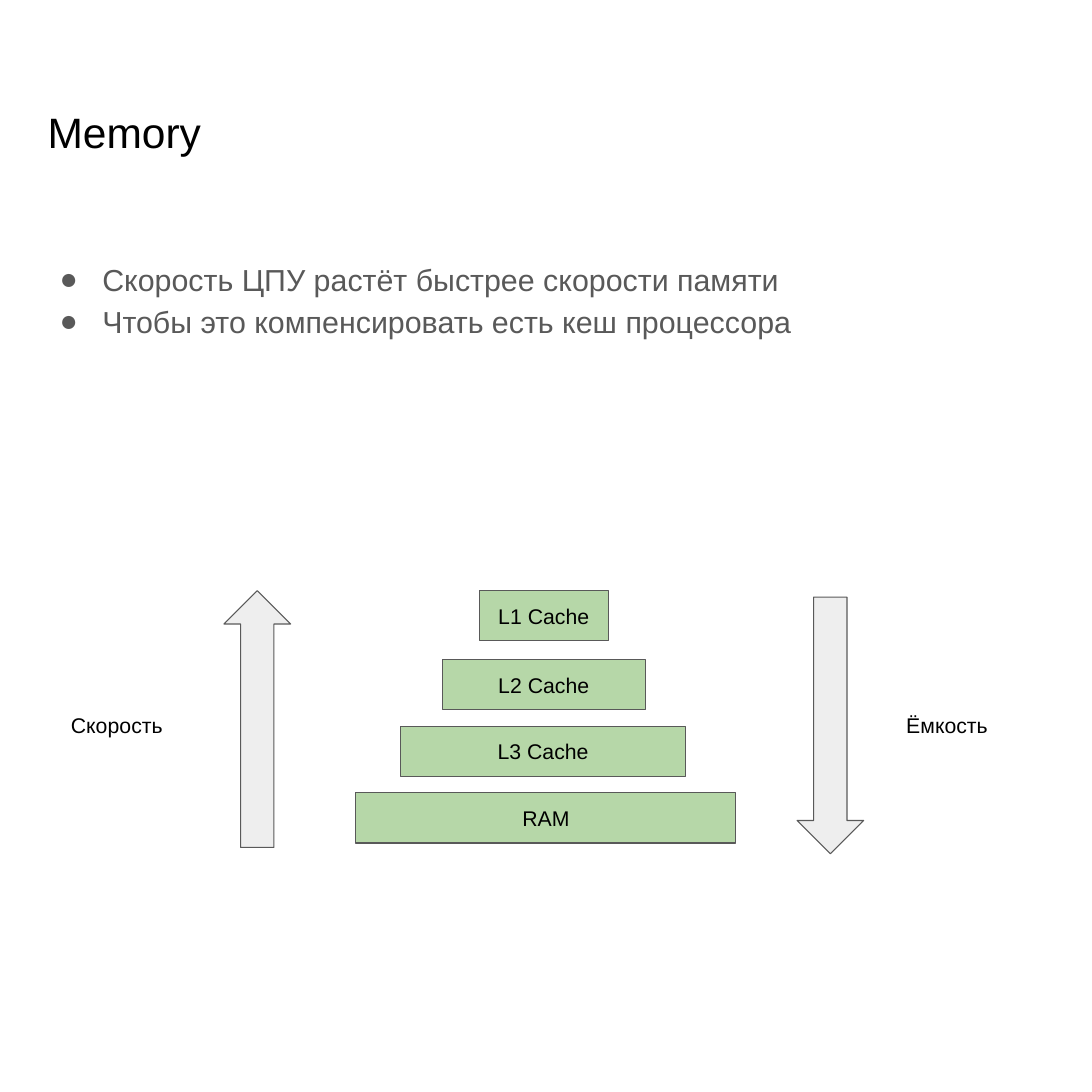
from lxml.etree import SubElement
from pptx import Presentation
from pptx.dml.color import RGBColor
from pptx.enum.shapes import MSO_SHAPE as Shape
from pptx.enum.text import MSO_ANCHOR as Anchor, PP_ALIGN as Align
from pptx.oxml.ns import qn
from pptx.util import Cm, Pt

FONT = "Arial"
BLACK, GRAY, LIGHT, GREEN = "000000", "595959", "EEEEEE", "B6D7A8"
INSET = Cm(0.25)
BOX_HEIGHT = 1.17

BULLETS = [
    "Скорость ЦПУ растёт быстрее скорости памяти",
    "Чтобы это компенсировать есть кеш процессора",
]
# Name, left, top, width
MEMORY_LEVELS = [
    ("L1 Cache", 11.15, 13.74, 3.0),
    ("L2 Cache", 10.29, 15.34, 4.72),
    ("L3 Cache", 9.32, 16.89, 6.63),
    ("RAM", 8.28, 18.44, 8.84),
]
# Shape, left, top, label, label left
ARROWS = [
    (Shape.UP_ARROW, 5.21, 13.74, "Скорость", 1.4),
    (Shape.DOWN_ARROW, 18.54, 13.89, "Ёмкость", 20.83),
]


def color(value):
    return RGBColor.from_string(value)


def set_frame(shape, anchor):
    frame = shape.text_frame
    frame.word_wrap = True
    frame.vertical_anchor = anchor
    frame.margin_left = frame.margin_right = INSET
    frame.margin_top = frame.margin_bottom = INSET
    return frame


def add_run(paragraph, text, size, text_color):
    run = paragraph.add_run()
    run.text = text
    run.font.name = FONT
    run.font.size = Pt(size)
    run.font.color.rgb = color(text_color)


def set_bullet(paragraph):
    properties = paragraph._p.get_or_add_pPr()
    properties.set("marL", str(Cm(1.27)))
    properties.set("indent", str(Cm(-0.99)))
    bullet_color = SubElement(properties, qn("a:buClr"))
    SubElement(bullet_color, qn("a:srgbClr"), val=GRAY)
    SubElement(properties, qn("a:buFont"), typeface=FONT)
    SubElement(properties, qn("a:buChar"), char="●")


def add_text(slide, left, top, width, height, lines, size,
             text_color=BLACK, bulleted=False):
    box = slide.shapes.add_textbox(Cm(left), Cm(top), Cm(width), Cm(height))
    frame = set_frame(box, Anchor.TOP)
    for index, line in enumerate(lines):
        paragraph = frame.add_paragraph() if index else frame.paragraphs[0]
        if bulleted:
            paragraph.line_spacing = 1.15
            set_bullet(paragraph)
        add_run(paragraph, line, size, text_color)


def add_outlined(slide, kind, left, top, width, height, fill):
    shape = slide.shapes.add_shape(kind, Cm(left), Cm(top), Cm(width), Cm(height))
    shape.shadow.inherit = False
    shape.fill.solid()
    shape.fill.fore_color.rgb = color(fill)
    shape.line.color.rgb = color(GRAY)
    shape.line.width = Pt(0.75)
    return shape


def add_level(slide, name, left, top, width):
    box = add_outlined(slide, Shape.RECTANGLE, left, top, width, BOX_HEIGHT, GREEN)
    paragraph = set_frame(box, Anchor.MIDDLE).paragraphs[0]
    paragraph.alignment = Align.CENTER
    add_run(paragraph, name, 14, BLACK)


def main():
    presentation = Presentation()
    presentation.slide_width = presentation.slide_height = Cm(25.4)
    slide = presentation.slides.add_slide(presentation.slide_layouts[6])

    # Title and bullets
    add_text(slide, 0.86, 2.21, 23.67, 2.82, ["Memory"], 28)
    add_text(slide, 0.86, 5.69, 23.67, 6.73, BULLETS, 20, GRAY, bulleted=True)

    # Memory pyramid
    for level in MEMORY_LEVELS:
        add_level(slide, *level)

    # Arrows with their labels
    for kind, left, top, label, label_left in ARROWS:
        add_outlined(slide, kind, left, top, 1.55, 5.97, LIGHT)
        add_text(slide, label_left, 16.31, 3.45, BOX_HEIGHT, [label], 14)

    presentation.save("out.pptx")


if __name__ == "__main__":
    main()
